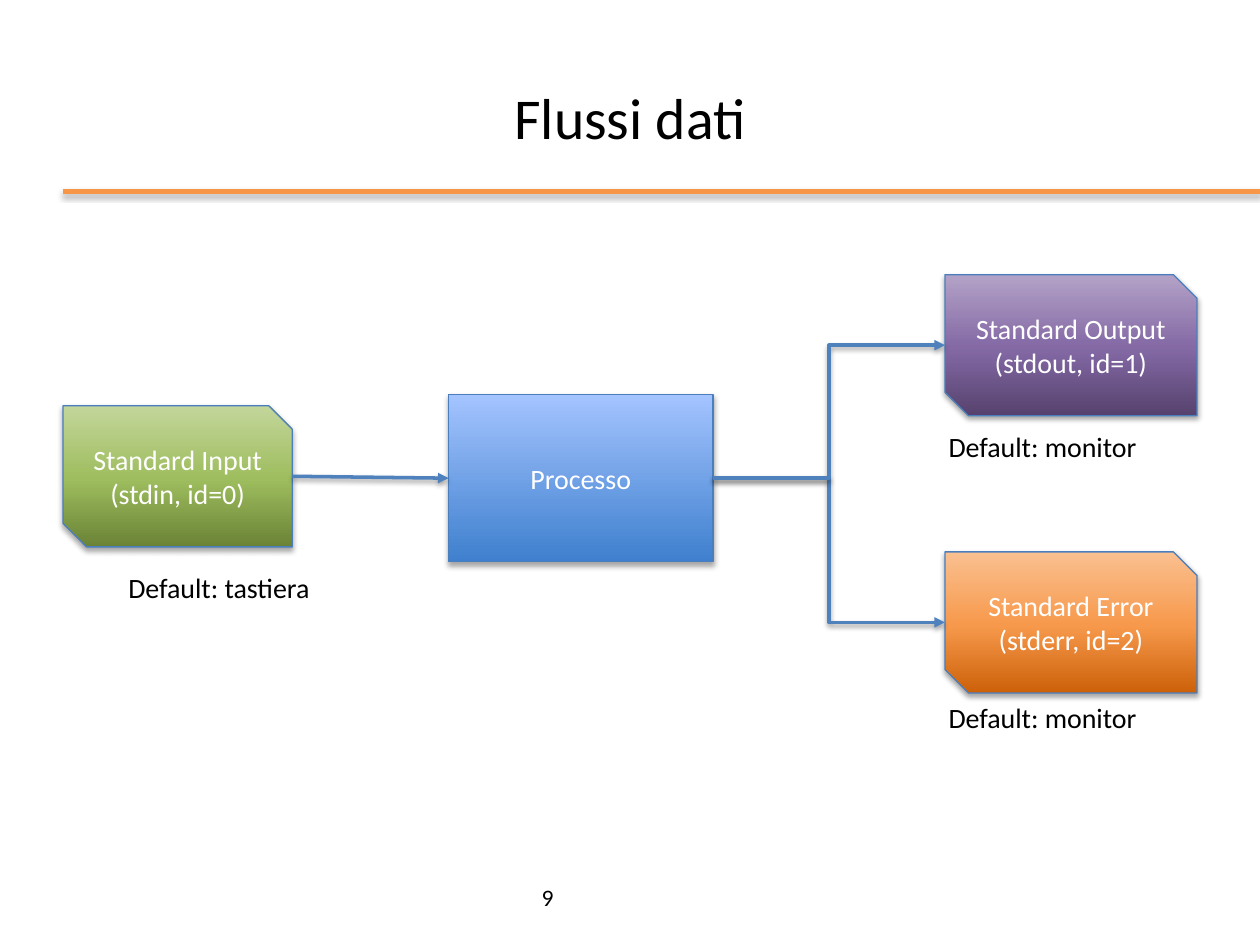
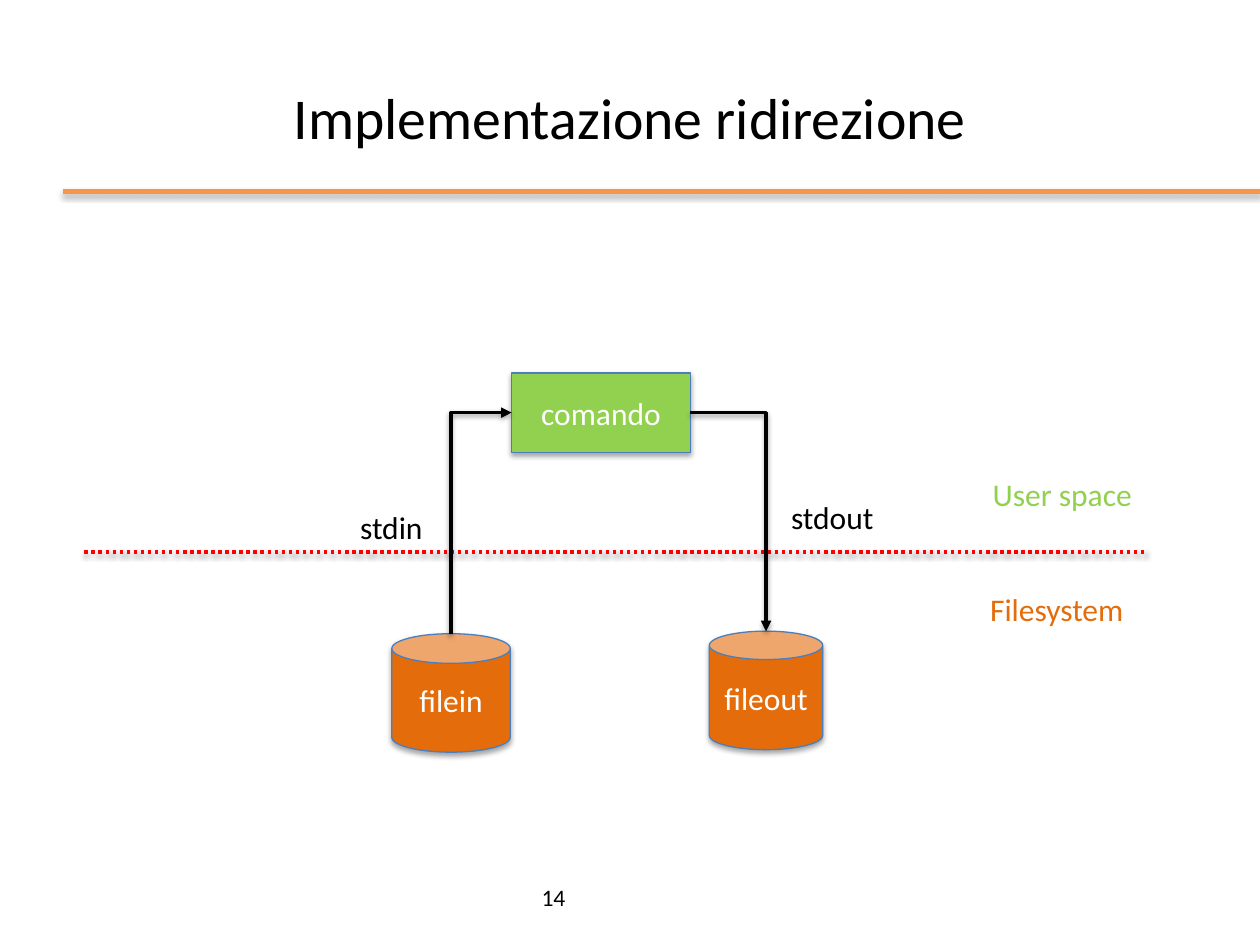
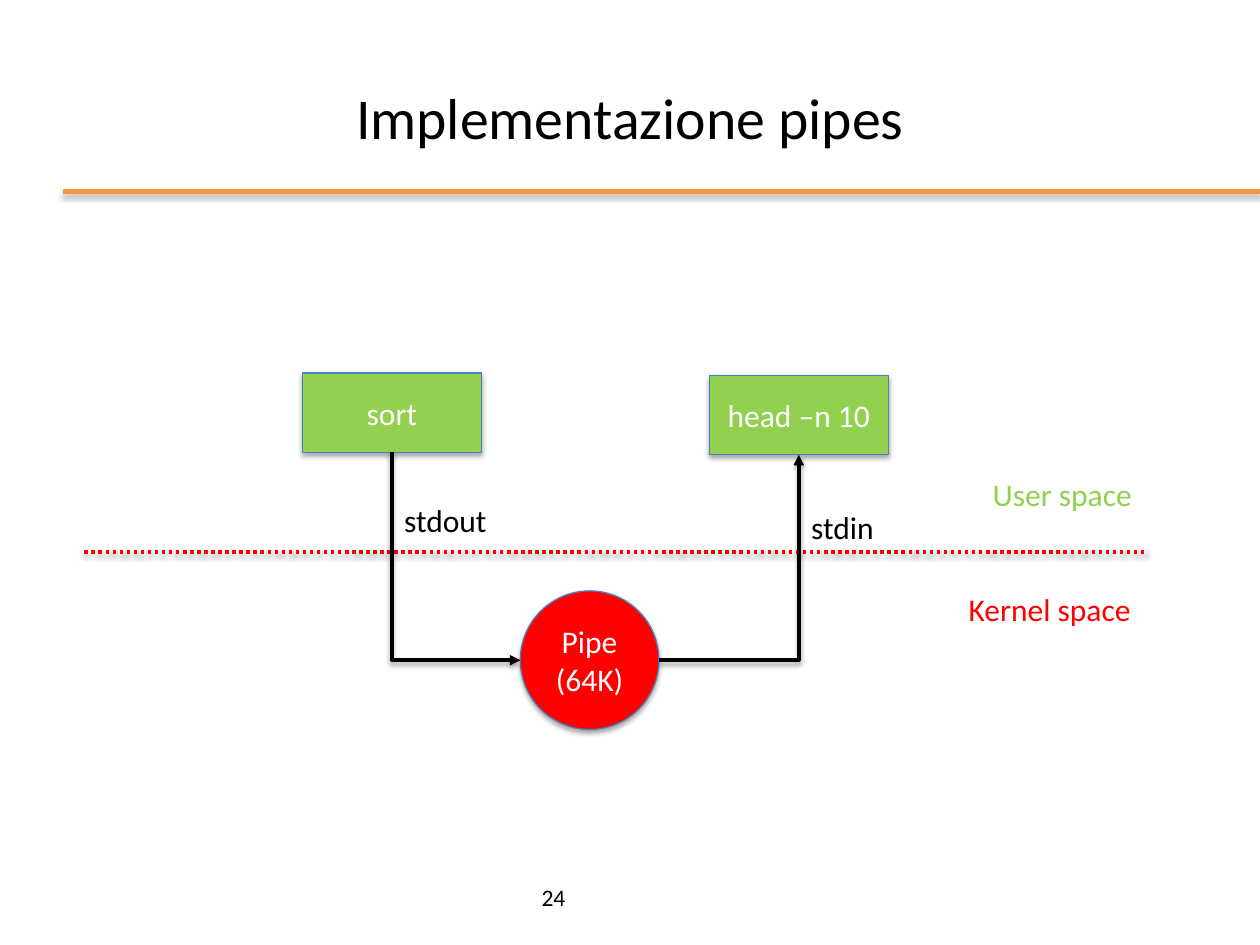
from dataclasses import dataclass

import pptx
import pptx.util
import pptx.dml.color
import pptx.enum.dml
import pptx.enum.shapes
import pptx.enum.text
import pptx.oxml
import pptx.oxml.ns
from lxml import etree

Inches, Pt = pptx.util.Inches, pptx.util.Pt
SHAPE = pptx.enum.shapes.MSO_SHAPE
CONNECTOR = pptx.enum.shapes.MSO_CONNECTOR
ALIGN = pptx.enum.text.PP_ALIGN
ANCHOR = pptx.enum.text.MSO_ANCHOR
qn = pptx.oxml.ns.qn


@dataclass(frozen=True)
class Theme:
    """Colours, gradients (bottom to top) and type sizes of the deck."""
    font: str = "Calibri"
    title: float = 33
    label: float = 18
    small: float = 16
    number: float = 13.5
    black: str = "000000"
    white: str = "FFFFFF"
    rule: str = "F79646"
    outline: str = "4B7EBC"
    arrow: str = "4F81BD"
    user: str = "92D050"
    kernel: str = "FF0000"
    files: str = "E46C0A"
    blue: tuple = ((0, "3F80CE"), (100, "A4C4FF"))
    green: tuple = ((0, "6A8336"), (48, "9EBD5E"), (100, "C3D69B"))
    purple: tuple = ((0, "56426E"), (48, "8469A5"), (100, "B3A2C7"))
    orange: tuple = ((0, "CC6109"), (48, "F7994C"), (100, "FAC090"))
    shape_shadow: tuple = (1.8, 35)
    line_shadow: tuple = (1.6, 38)


T = Theme()
BODY = (0.5, 2, 9, 4)

# Sides of each preset in the order of its connection sites.
SITES = {
    SHAPE.RECTANGLE: ("top", "left", "bottom", "right"),
    SHAPE.SNIP_2_DIAG_RECTANGLE: ("right", "bottom", "left", "top"),
    SHAPE.CAN: ("lid", "top", "left", "bottom", "right"),
    SHAPE.OVAL: ("top", "top left", "left", "bottom left",
                 "bottom", "bottom right", "right", "top right"),
}


def rgb(colour):
    """Turn a hex string into a colour."""
    return pptx.dml.color.RGBColor.from_string(colour)


def within(area, x, y, w=0, h=0):
    """Return a box whose corner is offset from the corner of the area."""
    return area[0] + x, area[1] + y, w, h


def add_shadow(obj, shadow):
    """Give a shape or connector a soft shadow that falls downwards."""
    dist, alpha = shadow
    obj._element.spPr.append(pptx.oxml.parse_xml(
        f'<a:effectLst {pptx.oxml.ns.nsdecls("a")}>'
        f'<a:outerShdw blurRad="{Pt(3.1)}" dist="{Pt(dist)}" dir="5400000" rotWithShape="0">'
        f'<a:srgbClr val="{T.black}"><a:alpha val="{alpha * 1000}"/></a:srgbClr>'
        '</a:outerShdw></a:effectLst>'))


def write(tf, lines, size, colour, align=ALIGN.LEFT):
    """Write one paragraph for each line."""
    for i, line in enumerate(lines):
        p = tf.add_paragraph() if i else tf.paragraphs[0]
        p.alignment = align
        r = p.add_run()
        r.text = line
        r.font.name, r.font.size = T.font, Pt(size)
        r.font.color.rgb = rgb(colour)


def add_text(slide, box, text, size, colour=T.black, wrap=False, align=ALIGN.LEFT,
             anchor=ANCHOR.TOP):
    """Add a text box; one that does not wrap fits its text."""
    tf = slide.shapes.add_textbox(*map(Inches, box)).text_frame
    tf.word_wrap = wrap
    if not wrap:
        tf.auto_size = pptx.enum.text.MSO_AUTO_SIZE.SHAPE_TO_FIT_TEXT
    tf.vertical_anchor = anchor
    write(tf, [text], size, colour, align)


def add_node(slide, kind, box, lines, fill, size=T.label):
    """Add a labelled shape with a plain or gradient fill."""
    sp = slide.shapes.add_shape(kind, *map(Inches, box))
    if isinstance(fill, str):
        sp.fill.solid()
        sp.fill.fore_color.rgb = rgb(fill)
    else:
        sp.fill.gradient()
        sp.fill.gradient_angle = 90
        stops = sp._element.spPr.find(qn("a:gradFill")).find(qn("a:gsLst"))
        stops[:] = []
        for pos, colour in fill:
            gs = etree.SubElement(stops, qn("a:gs"), pos=str(pos * 1000))
            etree.SubElement(gs, qn("a:srgbClr"), val=colour)
    sp.line.color.rgb, sp.line.width = rgb(T.outline), Pt(0.75)
    add_shadow(sp, T.shape_shadow)
    tf = sp.text_frame
    tf.word_wrap, tf.vertical_anchor = True, ANCHOR.MIDDLE
    write(tf, lines, size, T.white, ALIGN.CENTER)
    return sp


def add_line(slide, start, end, colour, width=2, kind=CONNECTOR.STRAIGHT, shadow=T.line_shadow,
             dash=None, arrow=False):
    """Add a connector between two points given as lengths."""
    cxn = slide.shapes.add_connector(kind, *start, *end)
    cxn.line.color.rgb, cxn.line.width = rgb(colour), Pt(width)
    if dash:
        cxn.line.dash_style = dash
    if arrow:
        ln = cxn._element.spPr.find(qn("a:ln"))
        etree.SubElement(ln, qn("a:tailEnd"), type="triangle")
    add_shadow(cxn, shadow)
    return cxn


def side_point(sp, side):
    """Return the middle of one side of a shape."""
    x = {"left": 0, "right": sp.width}.get(side, sp.width // 2)
    y = {"top": 0, "bottom": sp.height}.get(side, sp.height // 2)
    return sp.left + x, sp.top + y


def link(slide, source, side, target, target_side, colour=T.black, kind=CONNECTOR.ELBOW):
    """Join two shapes by an arrow; an elbow has one bend if it changes axis."""
    start, end = side_point(source, side), side_point(target, target_side)
    upright = ("top", "bottom")
    one_bend = (side in upright) != (target_side in upright)
    turn = 0
    if one_bend and side in upright:
        # The preset leaves sideways: lay it out a quarter turn away, then rotate it.
        (x1, y1), (x2, y2) = start, end
        turn = 270 if y2 > y1 else 90
        sign = 1 if turn == 270 else -1
        cx, cy = (x1 + x2) // 2, (y1 + y2) // 2
        dx, dy = sign * (x2 - x1) // 2, sign * (y2 - y1) // 2
        start, end = (cx + dy, cy - dx), (cx - dy, cy + dx)
    cxn = add_line(slide, start, end, colour, kind=kind, arrow=True)
    spPr = cxn._element.spPr
    if one_bend:
        spPr.find(qn("a:prstGeom")).set("prst", "bentConnector2")
    if turn:
        spPr.find(qn("a:xfrm")).set("rot", str(turn * 60000))
    ends = cxn._element.nvCxnSpPr.cNvCxnSpPr
    for tag, sp, name in (("a:stCxn", source, side), ("a:endCxn", target, target_side)):
        site = SITES[sp.auto_shape_type].index(name)
        etree.SubElement(ends, qn(tag), id=str(sp.shape_id), idx=str(site))


def add_frame(prs, title, number):
    """Add a blank slide with its title, orange rule and page number."""
    slide = prs.slides.add_slide(prs.slide_layouts[6])
    add_line(slide, (Inches(0.5), Inches(1.52)), (Inches(10), Inches(1.52)), T.rule, 3,
             shadow=T.shape_shadow)
    add_text(slide, (0.5, 0.3, 9, 1.25), title, T.title, wrap=True, align=ALIGN.CENTER,
             anchor=ANCHOR.MIDDLE)
    add_text(slide, (4.2, 6.96, 5.3, 0.4), str(number), T.number, wrap=True)
    return slide


def draw_spaces(slide, area, lower, lower_x, lower_w, lower_colour):
    """Divide the area by a dotted line and name the spaces on its two sides."""
    x, y, _, _ = within(area, 0.17, 2.38)
    add_line(slide, (Inches(x), Inches(y)), (Inches(x + 8.42), Inches(y)), T.kernel,
             dash=pptx.enum.dml.MSO_LINE.ROUND_DOT)
    add_text(slide, within(area, 7.28, 1.72, 1.32, 0.4), "User space", T.label, T.user)
    add_text(slide, within(area, lower_x, 2.63, lower_w, 0.4), lower, T.label, lower_colour)


def draw_command(slide, area, x, y, name):
    """Add a green command box."""
    return add_node(slide, SHAPE.RECTANGLE, within(area, x, y, 1.42, 0.63), [name], T.user)


def draw_stream_names(slide, area, stdout, stdin):
    """Name the two streams at the given places."""
    add_text(slide, within(area, *stdout, 0.86, 0.4), "stdout", T.label)
    add_text(slide, within(area, *stdin, 0.7, 0.4), "stdin", T.label)


def draw_data_flows(slide, area):
    """Draw a process with its standard input, output and error."""
    process = add_node(slide, SHAPE.RECTANGLE, within(area, 3.06, 1.13, 2.1, 1.33),
                       ["Processo"], T.blue, T.small)
    streams = (
        ("Standard Input (stdin, id=0)", 0, 1.22, 1.82, T.green,
         "Default: tastiera", 0.42, 2.48, 1.66),
        ("Standard Output (stdout, id=1)", 7, 0.18, 2, T.purple,
         "Default: monitor", 6.93, 1.36, 1.71),
        ("Standard Error (stderr, id=2)", 7, 2.38, 2, T.orange,
         "Default: monitor", 6.93, 3.51, 1.71),
    )
    nodes = []
    for name, x, y, w, fill, default, text_x, text_y, text_w in streams:
        nodes.append(add_node(slide, SHAPE.SNIP_2_DIAG_RECTANGLE, within(area, x, y, w, 1.12),
                              [name], fill, T.small))
        add_text(slide, within(area, text_x, text_y, text_w, 0.37), default, T.small)
    stdin, stdout, stderr = nodes
    link(slide, stdin, "right", process, "left", T.arrow, CONNECTOR.STRAIGHT)
    for target in (stderr, stdout):
        link(slide, process, "right", target, "left", T.arrow)


def draw_redirection(slide, area):
    """Draw a command that reads one file and writes another."""
    draw_spaces(slide, area, "Filesystem", 7.26, 1.27, T.files)
    command = draw_command(slide, area, 3.56, 0.96, "comando")
    filein, fileout = (
        add_node(slide, SHAPE.CAN, within(area, x, y, w, 0.94), [name], T.files)
        for name, x, y, w in (("filein", 2.61, 3.03, 0.94), ("fileout", 5.13, 3.01, 0.9)))
    link(slide, filein, "top", command, "left")
    link(slide, command, "right", fileout, "top")
    draw_stream_names(slide, area, (5.68, 1.9), (2.26, 1.98))


def draw_pipe(slide, area):
    """Draw two commands joined by a pipe in the kernel."""
    draw_spaces(slide, area, "Kernel space", 7.09, 1.5, T.kernel)
    pipe = add_node(slide, SHAPE.OVAL, within(area, 3.63, 2.69, 1.1, 1.1),
                    ["Pipe", "(64K)"], T.kernel)
    writer = draw_command(slide, area, 1.9, 0.96, "sort")
    reader = draw_command(slide, area, 5.13, 0.98, "head –n 10")
    link(slide, writer, "bottom", pipe, "left")
    link(slide, pipe, "right", reader, "bottom")
    draw_stream_names(slide, area, (2.61, 1.93), (5.84, 1.98))


def main():
    """Build the three slides and save them."""
    prs = pptx.Presentation()
    prs.slide_width, prs.slide_height = Inches(10), Inches(7.5)
    for title, number, draw in (
            ("Flussi dati", 9, draw_data_flows),
            ("Implementazione ridirezione", 14, draw_redirection),
            ("Implementazione pipes", 24, draw_pipe)):
        draw(add_frame(prs, title, number), BODY)
    prs.save("out.pptx")


main()
